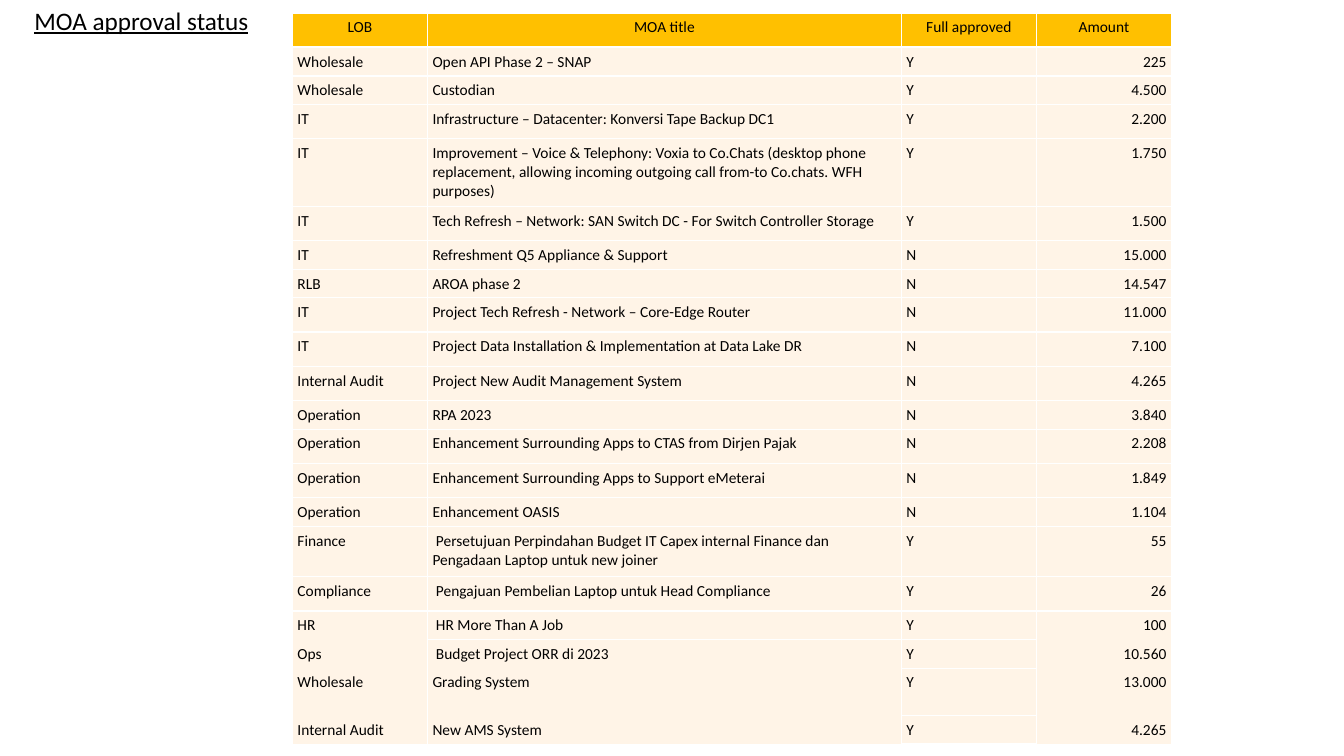
from lxml import etree
from pptx import Presentation
from pptx.dml.color import RGBColor
from pptx.enum.text import MSO_ANCHOR, MSO_AUTO_SIZE, PP_ALIGN
from pptx.oxml.ns import qn
from pptx.util import Inches, Pt

LEFT, CENTER, RIGHT = PP_ALIGN.LEFT, PP_ALIGN.CENTER, PP_ALIGN.RIGHT
TOP = MSO_ANCHOR.TOP
FIT_SHAPE = MSO_AUTO_SIZE.SHAPE_TO_FIT_TEXT
TITLE_ONLY = 5

FONT = "Calibri"
BLACK, WHITE, AMBER, CREAM = "000000", "FFFFFF", "FFC000", "FFF4E7"
THIN, THICK = 1, 1.5
SHORT, MEDIUM = 0.28, 0.34

HEADINGS = ("LOB", "MOA title", "Full approved", "Amount")
COLUMN_WIDTHS = (1.34, 4.7, 1.34, 1.34)
COLUMN_ALIGNMENTS = (LEFT, LEFT, LEFT, RIGHT)
LAST_RULED_ROWS = (16, 17, 20, 16)

APPROVALS = (
    (SHORT, "Wholesale", "Open API Phase 2 – SNAP", "Y", "225"),
    (SHORT, "Wholesale", "Custodian", "Y", "4.500"),
    (MEDIUM, "IT", "Infrastructure – Datacenter: Konversi Tape Backup DC1", "Y", "2.200"),
    (0.67, "IT", "Improvement – Voice & Telephony: Voxia to Co.Chats (desktop phone "
     "replacement, allowing incoming outgoing call from-to Co.chats. WFH purposes)", "Y", "1.750"),
    (MEDIUM, "IT", "Tech Refresh – Network: SAN Switch DC - For Switch Controller Storage",
     "Y", "1.500"),
    (SHORT, "IT", "Refreshment Q5 Appliance & Support", "N", "15.000"),
    (SHORT, "RLB", "AROA phase 2", "N", "14.547"),
    (MEDIUM, "IT", "Project Tech Refresh - Network – Core-Edge Router", "N", "11.000"),
    (MEDIUM, "IT", "Project Data Installation & Implementation at Data Lake DR", "N", "7.100"),
    (MEDIUM, "Internal Audit", "Project New Audit Management System", "N", "4.265"),
    (SHORT, "Operation", "RPA 2023", "N", "3.840"),
    (MEDIUM, "Operation", "Enhancement Surrounding Apps to CTAS from Dirjen Pajak", "N", "2.208"),
    (MEDIUM, "Operation", "Enhancement Surrounding Apps to Support eMeterai", "N", "1.849"),
    (SHORT, "Operation", "Enhancement OASIS", "N", "1.104"),
    (0.5, "Finance", " Persetujuan Perpindahan Budget IT Capex internal Finance dan "
     "Pengadaan Laptop untuk new joiner", "Y", "55"),
    (MEDIUM, "Compliance", " Pengajuan Pembelian Laptop untuk Head Compliance", "Y", "26"),
    (SHORT, "HR", " HR More Than A Job", "Y", "100"),
    (SHORT, "Ops", " Budget Project ORR di 2023", "Y", "10.560"),
    (0.47, "Wholesale", "Grading System", "Y", "13.000"),
    (SHORT, "Internal Audit", "New AMS System", "Y", "4.265"),
)


def color(hex_code):
    """Turn a hex string into a colour."""
    return RGBColor.from_string(hex_code)


def format_paragraph(paragraph, size, alignment):
    """Apply the slide's font and an alignment to a paragraph."""
    paragraph.alignment = alignment
    paragraph.font.name = FONT
    paragraph.font.size = Pt(size)
    paragraph.font.bold = False
    paragraph.font.color.rgb = color(BLACK)


def add_border(cell, side, width):
    """Add a white border to one side of a cell, or an empty one for no width."""
    properties = cell._tc.get_or_add_tcPr()
    border = etree.SubElement(properties, qn(f"a:ln{side}"), w=str(Pt(width)))
    if width:
        fill = etree.SubElement(border, qn("a:solidFill"))
        etree.SubElement(fill, qn("a:srgbClr"), val=WHITE)
    else:
        etree.SubElement(border, qn("a:noFill"))


def rule_below(row, column):
    """Give the width of the horizontal rule below a cell."""
    if row == 0:
        return THICK
    return THIN if row <= LAST_RULED_ROWS[column] else 0


def fill_cell(cell, row, column, text):
    """Write one table cell with its borders, fill and text."""
    cell.margin_left = cell.margin_right = Inches(0.05)
    cell.margin_top = cell.margin_bottom = Inches(0.05)
    cell.vertical_anchor = TOP
    above = rule_below(row - 1, column) if row else THIN
    for side, width in zip("LRTB", (THIN, THIN, above, rule_below(row, column))):
        add_border(cell, side, width)
    cell.fill.solid()
    cell.fill.fore_color.rgb = color(CREAM if row else AMBER)
    cell.text = text
    alignment = COLUMN_ALIGNMENTS[column] if row else CENTER
    format_paragraph(cell.text_frame.paragraphs[0], 11, alignment)


def add_heading(slide, left, top, width, height):
    """Place the underlined slide title."""
    heading = slide.shapes.title
    heading.left, heading.top = Inches(left), Inches(top)
    heading.width, heading.height = Inches(width), Inches(height)
    frame = heading.text_frame
    frame.text = "MOA approval status"
    frame.word_wrap = False
    frame.auto_size = FIT_SHAPE
    frame.vertical_anchor = TOP
    format_paragraph(frame.paragraphs[0], 18, LEFT)
    frame.paragraphs[0].font.underline = True


def add_approval_table(slide, left, top):
    """Place the table of approvals with its corner at the given point."""
    rows = ((MEDIUM, *HEADINGS), *APPROVALS)
    height = sum(row[0] for row in rows)
    table = slide.shapes.add_table(
        len(rows), len(HEADINGS), Inches(left), Inches(top),
        Inches(sum(COLUMN_WIDTHS)), Inches(height)).table
    for column, width in zip(table.columns, COLUMN_WIDTHS):
        column.width = Inches(width)
    for row, (row_height, *texts) in enumerate(rows):
        table.rows[row].height = Inches(row_height)
        for column, text in enumerate(texts):
            fill_cell(table.cell(row, column), row, column, text)


def main():
    """Build the slide and save it."""
    presentation = Presentation()
    presentation.slide_width = Inches(13.33)
    presentation.slide_height = Inches(7.5)
    slide = presentation.slides.add_slide(presentation.slide_layouts[TITLE_ONLY])
    add_heading(slide, 0.24, 0, 2.35, 0.4)
    add_approval_table(slide, 2.9, 0.13)
    presentation.save("out.pptx")


if __name__ == "__main__":
    main()
